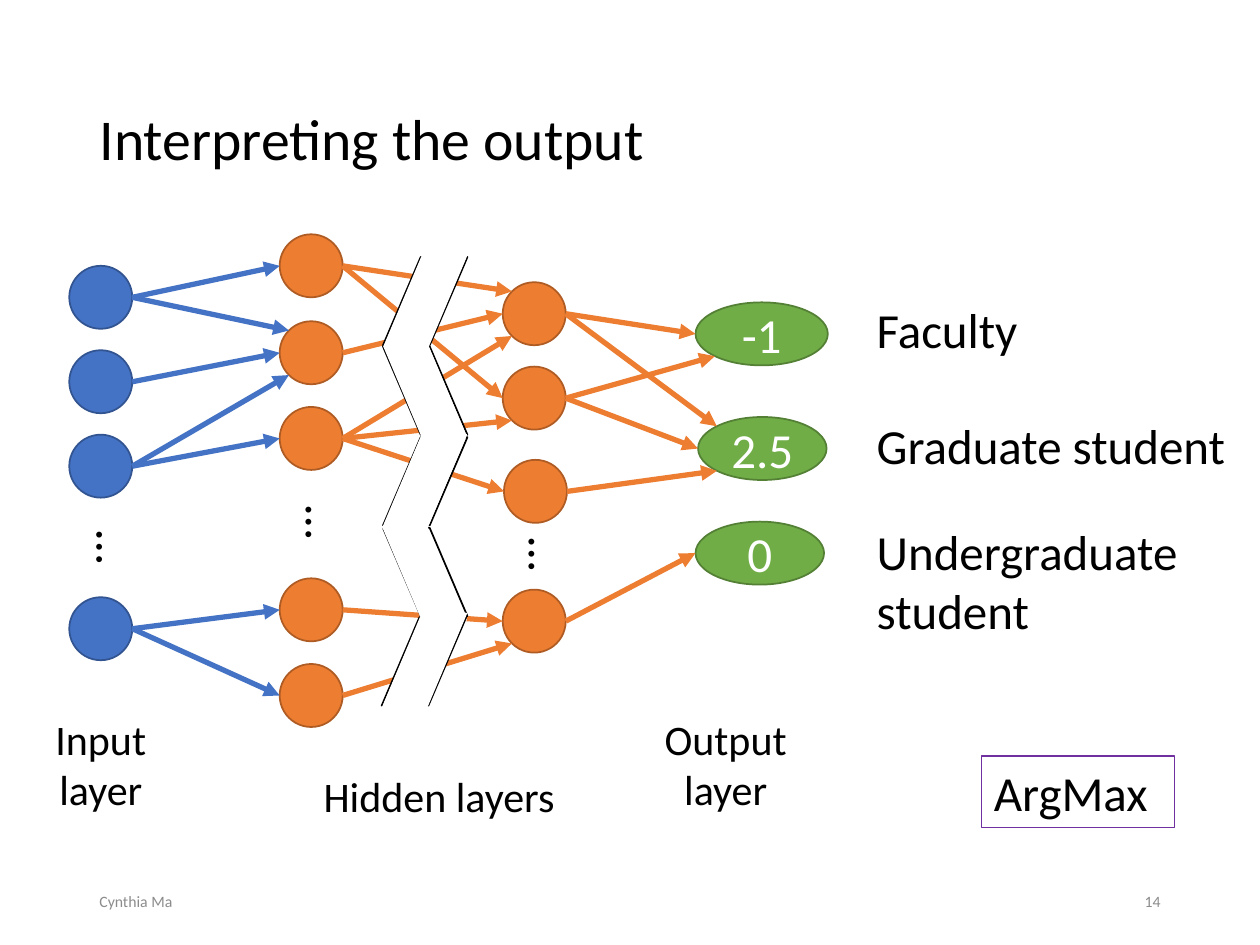
from lxml import etree
from pptx import Presentation
from pptx.dml.color import RGBColor
from pptx.enum.shapes import MSO_CONNECTOR, MSO_SHAPE
from pptx.enum.text import MSO_ANCHOR, PP_ALIGN
from pptx.oxml.ns import qn
from pptx.util import Inches, Pt

OVAL, RECT, SLANT = MSO_SHAPE.OVAL, MSO_SHAPE.RECTANGLE, MSO_SHAPE.PARALLELOGRAM
STRAIGHT = MSO_CONNECTOR.STRAIGHT
LEFT, CENTER, RIGHT = PP_ALIGN.LEFT, PP_ALIGN.CENTER, PP_ALIGN.RIGHT
TOP, MIDDLE = MSO_ANCHOR.TOP, MSO_ANCHOR.MIDDLE

BLACK = RGBColor(0x00, 0x00, 0x00)
WHITE = RGBColor(0xFF, 0xFF, 0xFF)
GRAY = RGBColor(0x8C, 0x8C, 0x8C)
BLUE, BLUE_EDGE = RGBColor(0x44, 0x72, 0xC4), RGBColor(0x32, 0x54, 0x91)
ORANGE, ORANGE_EDGE = RGBColor(0xED, 0x7D, 0x31), RGBColor(0xAF, 0x5C, 0x24)
GREEN, GREEN_EDGE = RGBColor(0x70, 0xAD, 0x47), RGBColor(0x53, 0x80, 0x35)
PURPLE = RGBColor(0x70, 0x30, 0xA0)

NODE = 0.5  # height of every node
DIAGONAL = 0.5 ** 0.5

# Nodes as (left, top, width)
INPUTS = [(0.55, y, NODE) for y in (2.11, 2.78, 3.45, 4.74)]
HIDDEN_1 = [(2.22, y, NODE) for y in (1.86, 2.55, 3.23, 4.59, 5.27)]
HIDDEN_2 = [(3.99, 2.24, NODE), (3.99, 2.91, NODE), (4, 3.65, NODE), (3.99, 4.68, NODE)]
OUTPUTS = [(5.52, 2.4, 1.05), (5.54, 3.31, 1.02), (5.52, 4.14, 1.02)]
SCORES = ["-1", "2.5", "0"]

# Links as (source node, target node, side of the target)
INPUT_LINKS = [(0, 0, "left"), (1, 1, "left"), (3, 4, "left"), (3, 3, "left"),
               (0, 1, "upper"), (2, 2, "left"), (2, 1, "lower")]
HIDDEN_LINKS = [(0, 0, "upper"), (1, 0, "left"), (2, 0, "lower"), (0, 1, "left"),
                (2, 1, "lower"), (3, 3, "left"), (2, 2, "left"), (4, 3, "lower")]
OUTPUT_LINKS = [(0, 0, "left"), (1, 1, "left"), (2, 1, "lower"),
                (0, 1, "upper"), (1, 0, "lower"), (3, 2, "left")]

# Break pieces as (left, top, mirrored, is cover)
BREAK = [(3.04, 2.04, False, False), (3.04, 2.75, True, False),
         (3.05, 2.75, True, True), (3.05, 2.01, False, True),
         (3.04, 3.47, False, False), (3.04, 4.19, True, False),
         (3.04, 4.18, True, True), (3.04, 3.45, False, True),
         (3.03, 4.9, False, False), (3.04, 4.87, False, True)]


def write(s, text, size=28, color=BLACK, align=LEFT, anchor=TOP, wrap=True, spacing=None):
    tf = s.text_frame
    tf.word_wrap = wrap
    tf.vertical_anchor = anchor
    p = tf.paragraphs[0]
    p.alignment = align
    p.line_spacing = spacing
    r = p.add_run()
    r.text = text
    r.font.name = "Calibri"
    r.font.size = Pt(size)
    r.font.color.rgb = color


def add_text(slide, box, text, rotation=0, **fmt):
    s = slide.shapes.add_textbox(*map(Inches, box))
    s.rotation = rotation
    write(s, text, **fmt)


def add_shape(slide, kind, box, fill, edge, width=1):
    s = slide.shapes.add_shape(kind, *map(Inches, box))
    s.shadow.inherit = False
    if fill is None:
        s.fill.background()
    else:
        s.fill.solid()
        s.fill.fore_color.rgb = fill
    s.line.color.rgb = edge
    s.line.width = Pt(width)
    return s


def add_nodes(slide, nodes, fill, edge):
    return [add_shape(slide, OVAL, (x, y, w, NODE), fill, edge) for x, y, w in nodes]


def target_point(node, side):
    """Point on the left, upper left or lower left of an oval."""
    x, y, w = node
    if side == "left":
        return x, y + NODE / 2
    sign = -1 if side == "upper" else 1
    return x + w / 2 * (1 - DIAGONAL), y + NODE / 2 * (1 + sign * DIAGONAL)


def add_links(slide, sources, targets, links, color):
    for i, j, side in links:
        x, y, w = sources[i]
        ends = (x + w, y + NODE / 2, *target_point(targets[j], side))
        c = slide.shapes.add_connector(STRAIGHT, *map(Inches, ends))
        c.line.color.rgb = color
        c.line.width = Pt(3)
        etree.SubElement(c.line._get_or_add_ln(), qn("a:tailEnd"), type="triangle")
        etree.SubElement(c._element.spPr, qn("a:effectLst"))


def add_break(slide):
    """White zigzag band with black edges across the hidden layers."""
    for x, y, mirrored, cover in BREAK:
        w, h, slant = (0.66, 0.74, 0.474) if cover else (0.67, 0.7, 0.447)
        s = add_shape(slide, SLANT, (x, y, w, h), WHITE, WHITE if cover else BLACK)
        s.adjustments[0] = slant
        if mirrored:
            s._element.spPr.find(qn("a:xfrm")).set("flipH", "1")


def main():
    prs = Presentation()
    prs.slide_width, prs.slide_height = Inches(10), Inches(7.5)
    slide = prs.slides.add_slide(prs.slide_layouts[5])

    # Title and footer
    title = slide.shapes.title
    title.left, title.top, title.width, title.height = map(Inches, (0.69, 0.4, 8.62, 1.45))
    write(title, "Interpreting the output", size=33, anchor=MIDDLE, spacing=0.9)
    for x, text, align in ((0.69, "Cynthia Ma", LEFT), (7.06, "14", RIGHT)):
        add_text(slide, (x, 6.95, 2.25, 0.4), text, size=9, color=GRAY,
                 align=align, anchor=MIDDLE)

    # Network nodes
    add_nodes(slide, INPUTS, BLUE, BLUE_EDGE)
    add_nodes(slide, HIDDEN_1 + HIDDEN_2, ORANGE, ORANGE_EDGE)
    for s, score in zip(add_nodes(slide, OUTPUTS, GREEN, GREEN_EDGE), SCORES):
        write(s, score, color=WHITE, align=CENTER, anchor=MIDDLE)
    for x, y in ((0.67, 4.08), (2.33, 3.88), (4.1, 4.13)):
        add_text(slide, (x, y, 0.5, 0.57), "…", rotation=90)

    # Layer names
    for box, name in (((0, 5.61, 1.6, 0.91), "Input layer"),
                      ((2.02, 6.07, 2.93, 0.5), "Hidden layers"),
                      ((4.96, 5.61, 1.6, 0.91), "Output layer")):
        add_text(slide, box, name, size=24, align=CENTER)

    # Links, with the break on top
    add_links(slide, INPUTS, HIDDEN_1, INPUT_LINKS, BLUE)
    add_links(slide, HIDDEN_2, OUTPUTS, OUTPUT_LINKS, ORANGE)
    add_links(slide, HIDDEN_1, HIDDEN_2, HIDDEN_LINKS, ORANGE)
    add_break(slide)

    # Meaning of the outputs
    add_text(slide, (6.86, 2.33, 1.33, 0.57), "Faculty", wrap=False)
    add_text(slide, (6.86, 3.25, 3, 0.57), "Graduate student", wrap=False)
    add_text(slide, (6.86, 4.09, 3, 1.04), "Undergraduate student")
    argmax = add_shape(slide, RECT, (7.79, 6, 1.53, 0.57), None, PURPLE, width=0.75)
    write(argmax, "ArgMax", wrap=False)

    prs.save("out.pptx")


if __name__ == "__main__":
    main()
